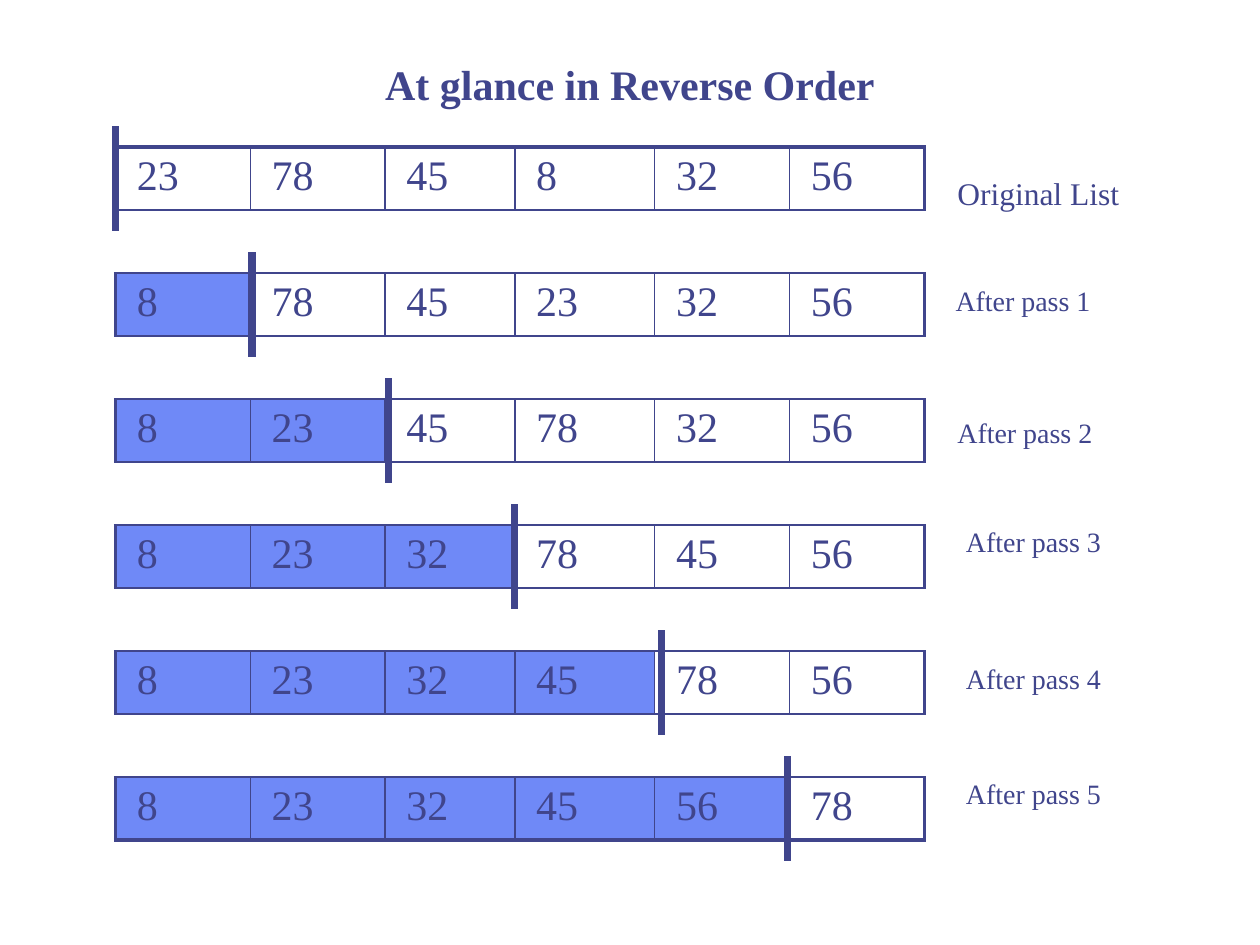
from dataclasses import dataclass

from lxml.etree import SubElement
from pptx import Presentation
from pptx.dml.color import RGBColor
from pptx.enum.shapes import MSO_CONNECTOR
from pptx.enum.text import MSO_ANCHOR, PP_ALIGN
from pptx.oxml.ns import qn
from pptx.util import Inches, Length, Pt

COLORS = {"ink": "40458C", "sorted": "6F89F7"}
FONT = "Times New Roman"
COLUMN_WIDTHS = (1.07, 1.07, 1.03, 1.11, 1.07, 1.07)
ROW_HEIGHT = 0.5
THIN, THICK, MARKER = 1, 2.25, 4.5
NO_STYLE = "{2D5ABB26-0587-4C30-8999-92F81FD0307C}"


@dataclass(frozen=True)
class Pass:
    """One state of the list; positions are in grid units of 1/12 inch."""
    values: tuple[int, ...]
    label: str
    label_left: int
    label_top: int
    marker_left: int
    label_inset: float = 0
    label_size: int = 16


PASSES = (
    Pass((23, 78, 45, 8, 32, 56), "Original List", 90, 16, 11, 0.1, 18),
    Pass((8, 78, 45, 23, 32, 56), "After pass 1", 91, 27, 24),
    Pass((8, 23, 45, 78, 32, 56), "After pass 2", 90, 39, 37, 0.1),
    Pass((8, 23, 32, 78, 45, 56), "After pass 3", 92, 50, 49),
    Pass((8, 23, 32, 45, 78, 56), "After pass 4", 92, 63, 63),
    Pass((8, 23, 32, 45, 56, 78), "After pass 5", 92, 74, 75),
)


def grid(units: float) -> Length:
    return Inches(units / 12)


def color(name: str) -> RGBColor:
    return RGBColor.from_string(COLORS[name])


def style_paragraph(paragraph, size: float, bold: bool = False) -> None:
    font = paragraph.font
    font.name, font.size, font.bold = FONT, Pt(size), bold
    font.color.rgb = color("ink")


def set_borders(cell, **widths: float) -> None:
    """Draw the sides L, R, T and B in points; zero means no line."""
    properties = cell._tc.get_or_add_tcPr()
    for side in "LRTB":
        width = widths.get(side, THIN)
        line = SubElement(properties, qn(f"a:ln{side}"), w=str(Pt(width)))
        if width:
            fill = SubElement(line, qn("a:solidFill"))
            SubElement(fill, qn("a:srgbClr"), val=COLORS["ink"])
        else:
            SubElement(line, qn("a:noFill"))


def fill_cell(cell, value: int, is_sorted: bool) -> None:
    cell.margin_left = Inches(0.17)
    cell.text = str(value)
    style_paragraph(cell.text_frame.paragraphs[0], 24)
    if is_sorted:
        cell.fill.solid()
        cell.fill.fore_color.rgb = color("sorted")
    else:
        cell.fill.background()


def add_pass_table(slide) -> None:
    """Put the passes on every second row, with open rows between them."""
    row_count, column_count = 2 * len(PASSES) - 1, len(COLUMN_WIDTHS)
    table = slide.shapes.add_table(
        row_count, column_count, grid(11), grid(14),
        Inches(sum(COLUMN_WIDTHS)), Inches(row_count * ROW_HEIGHT)).table
    table.first_row = table.horz_banding = False
    table._tbl.tblPr.find(qn("a:tableStyleId")).text = NO_STYLE
    for column, width in zip(table.columns, COLUMN_WIDTHS):
        column.width = Inches(width)
    for row_index, row in enumerate(table.rows):
        row.height = Inches(ROW_HEIGHT)
        pass_number, is_gap = divmod(row_index, 2)
        for column_index, cell in enumerate(row.cells):
            if is_gap:
                set_borders(cell, L=0, R=0)
                cell.fill.background()
                continue
            set_borders(
                cell,
                L=THICK if column_index == 0 else THIN,
                R=THICK if column_index == column_count - 1 else THIN,
                T=THICK if row_index == 0 else THIN,
                B=THICK if row_index == row_count - 1 else THIN)
            fill_cell(cell, PASSES[pass_number].values[column_index],
                      column_index < pass_number)


def add_label(slide, state: Pass) -> None:
    box = slide.shapes.add_textbox(
        grid(state.label_left), grid(state.label_top), grid(22.5), grid(4.5))
    frame = box.text_frame
    frame.word_wrap = True
    frame.margin_left = frame.margin_right = Inches(state.label_inset)
    frame.margin_top = frame.margin_bottom = Inches(state.label_inset / 2)
    frame.text = state.label
    style_paragraph(frame.paragraphs[0], state.label_size)


def add_marker(slide, state: Pass, number: int) -> None:
    """Draw the wall between the sorted and the unsorted part."""
    left, top = grid(state.marker_left), 12 * (number + 1)
    line = slide.shapes.add_connector(
        MSO_CONNECTOR.STRAIGHT, left, grid(top), left, grid(top + 10))
    line.line.color.rgb = color("ink")
    line.line.width = Pt(MARKER)
    SubElement(line._element.spPr, qn("a:effectLst"))


def set_title(slide, text: str, width: Length) -> None:
    title = slide.shapes.title
    title.left, title.top, title.width, title.height = 0, grid(5), width, grid(6)
    frame = title.text_frame
    frame.text = text
    frame.vertical_anchor = MSO_ANCHOR.TOP
    paragraph = frame.paragraphs[0]
    paragraph.alignment = PP_ALIGN.CENTER
    style_paragraph(paragraph, 24, bold=True)


def main() -> None:
    presentation = Presentation()
    presentation.slide_width, presentation.slide_height = Inches(10), Inches(7.5)
    slide = presentation.slides.add_slide(presentation.slide_layouts[5])
    set_title(slide, "At glance in Reverse Order", presentation.slide_width)
    add_pass_table(slide)
    for number, state in enumerate(PASSES):
        add_label(slide, state)
        add_marker(slide, state, number)
    presentation.save("out.pptx")


if __name__ == "__main__":
    main()
